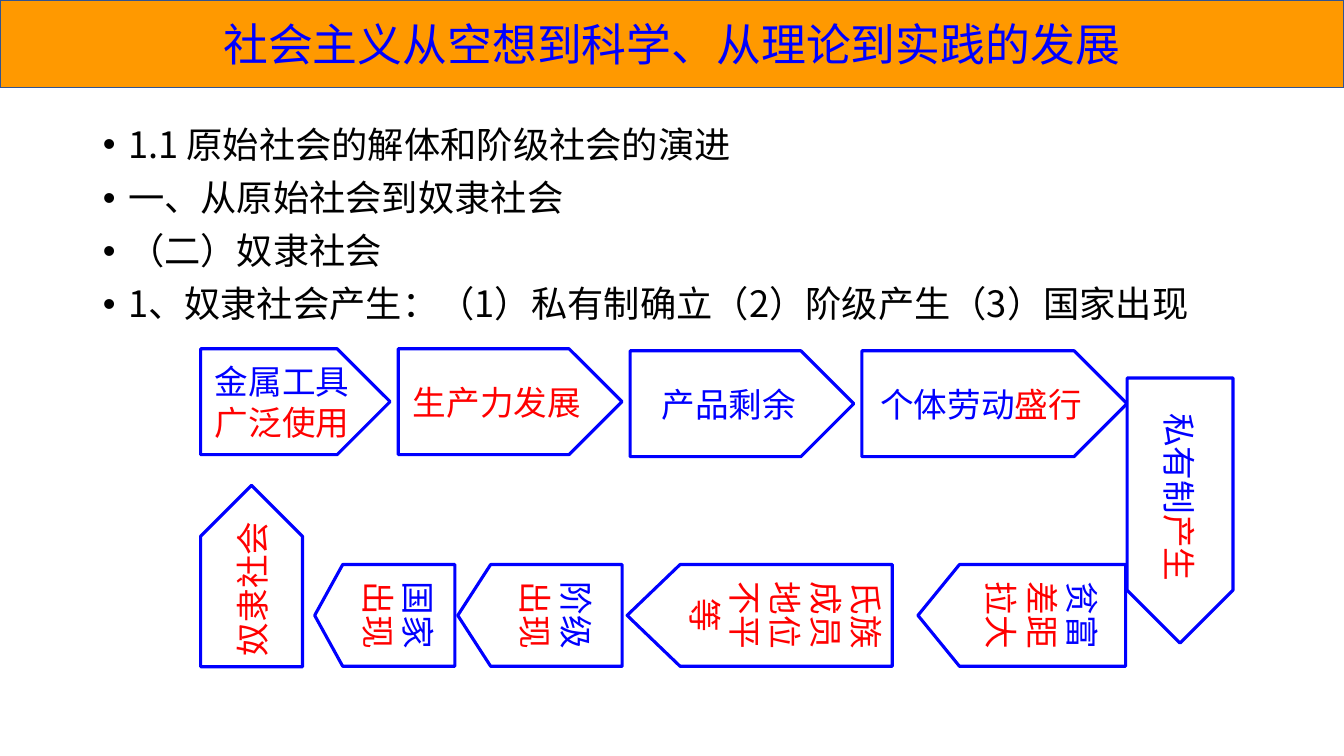
from dataclasses import dataclass

from lxml.etree import SubElement
from pptx import Presentation
from pptx.dml.color import RGBColor as RGB
from pptx.enum.shapes import MSO_SHAPE as SHAPE
from pptx.enum.text import MSO_ANCHOR as ANCHOR, MSO_AUTO_SIZE as AUTO, PP_ALIGN as ALIGN
from pptx.oxml.ns import qn
from pptx.util import Inches, Pt


@dataclass(frozen=True)
class Theme:
    """Colours, font and type sizes of the slide."""
    font: str = "Noto Sans CJK SC"
    blue: RGB = RGB(0x00, 0x00, 0xFF)
    red: RGB = RGB(0xFF, 0x00, 0x00)
    black: RGB = RGB(0x00, 0x00, 0x00)
    white: RGB = RGB(0xFF, 0xFF, 0xFF)
    orange: RGB = RGB(0xFF, 0x99, 0x00)
    navy: RGB = RGB(0x32, 0x54, 0x91)
    title: float = 32
    body: float = 25.9
    step: float = 24
    outline: float = 2.25


T = Theme()
W, H = Inches(13.33), Inches(7.5)

TITLE = "社会主义从空想到科学、从理论到实践的发展"
OUTLINE = (
    "1.1 原始社会的解体和阶级社会的演进",
    "一、从原始社会到奴隶社会",
    "（二）奴隶社会",
    "1、奴隶社会产生：（1）私有制确立（2）阶级产生（3）国家出现",
)

# Lengths are percentages of the slide's width and height.
LEFT, GAP = 14.93, 0.6
TOP_HEIGHT = 14
RETURN_TOP, RETURN_HEIGHT = 74.67, 13.47

# Upper row: top, width, blue words, red words
FORWARD = (
    (46.13, 14.1, "金属工具", "广泛使用"),
    (46.13, 16.65, "", "生产力发展"),
    (46.4, 16.65, "产品剩余", ""),
    (46.4, 19.73, "个体劳动", "盛行"),
)
# Lower row: left, width, blue words, red words
BACKWARD = (
    (68.3, 15.45, "贫富", "差距拉大"),
    (46.66, 19.73, "", "氏族成员地位不平等"),
    (34.06, 12.23, "阶级", "出现"),
    (23.41, 10.43, "国家", "出现"),
)


def box(left, top, width, height):
    """Turn percentages of the slide into a box in EMU."""
    return (int(W * left / 100), int(H * top / 100),
            int(W * width / 100), int(H * height / 100))


def style(r, size, color):
    """Set a run's font for Latin and East Asian text."""
    r.font.size, r.font.name = Pt(size), T.font
    r.font.color.rgb = color
    SubElement(r.font._element, qn("a:ea"), typeface=T.font)


def paint(sp, fill, line, width):
    """Fill and outline a shape."""
    sp.fill.solid()
    sp.fill.fore_color.rgb = fill
    sp.line.color.rgb = line
    sp.line.width = Pt(width)


def place(sp, area):
    """Move a placeholder to an area of the slide."""
    sp.left, sp.top, sp.width, sp.height = box(*area)
    sp.text_frame.auto_size = AUTO.NONE


def add_title(s, text):
    """Make the title placeholder a full-width banner."""
    sp = s.shapes.title
    place(sp, (0, 0, 100, 11.6))
    paint(sp, T.orange, T.navy, 1)
    tf = sp.text_frame
    tf.text = text
    tf.vertical_anchor = ANCHOR.MIDDLE
    p = tf.paragraphs[0]
    p.alignment = ALIGN.CENTER
    style(p.runs[0], T.title, T.blue)


def add_outline(s, lines):
    """Write the bulleted list in the body placeholder."""
    sp = s.placeholders[1]
    place(sp, (6.9, 16.13, 86.27, 29.47))
    tf = sp.text_frame
    tf.text = "\n".join(lines)
    for p in tf.paragraphs:
        p.line_spacing, p.space_before = 0.9, Pt(10)
        pPr = p._p.get_or_add_pPr()
        pPr.set("marL", str(Inches(0.25)))
        pPr.set("indent", str(-Inches(0.25)))
        style(p.runs[0], T.body, T.black)


def add_step(s, kind, area, blue, red, turn=0):
    """Draw a step that covers the area after a turn in degrees."""
    x, y, w, h = box(*area)
    if turn:
        x, y, w, h = x + (w - h) // 2, y + (h - w) // 2, h, w
    sp = s.shapes.add_shape(kind, x, y, w, h)
    sp.rotation = turn
    sp.shadow.inherit = False
    paint(sp, T.white, T.blue, T.outline)
    tf = sp.text_frame
    tf.word_wrap, tf.vertical_anchor = True, ANCHOR.MIDDLE
    p = tf.paragraphs[0]
    p.alignment = ALIGN.CENTER
    for text, color in ((blue, T.blue), (red, T.red)):
        if text:
            r = p.add_run()
            r.text = text
            style(r, T.step, color)


def add_cycle(s):
    """Lay the steps out rightwards, down, leftwards and up."""
    left = LEFT
    for top, width, blue, red in FORWARD:
        add_step(s, SHAPE.PENTAGON, (left, top, width, TOP_HEIGHT), blue, red)
        left += width + GAP
    add_step(s, SHAPE.PENTAGON, (left - GAP, 50, 7.88, 35.07), "私有制", "产生", 90)
    for left, width, blue, red in BACKWARD:
        area = (left, RETURN_TOP, width, RETURN_HEIGHT)
        add_step(s, SHAPE.FLOWCHART_OFFPAGE_CONNECTOR, area, blue, red, 90)
    add_step(s, SHAPE.PENTAGON, (LEFT, 64.2, 7.58, 24), "", "奴隶社会", 270)


def main():
    """Build and save the slide."""
    prs = Presentation()
    prs.slide_width, prs.slide_height = W, H
    s = prs.slides.add_slide(prs.slide_layouts[1])
    add_title(s, TITLE)
    add_outline(s, OUTLINE)
    add_cycle(s)
    prs.save("out.pptx")


main()
